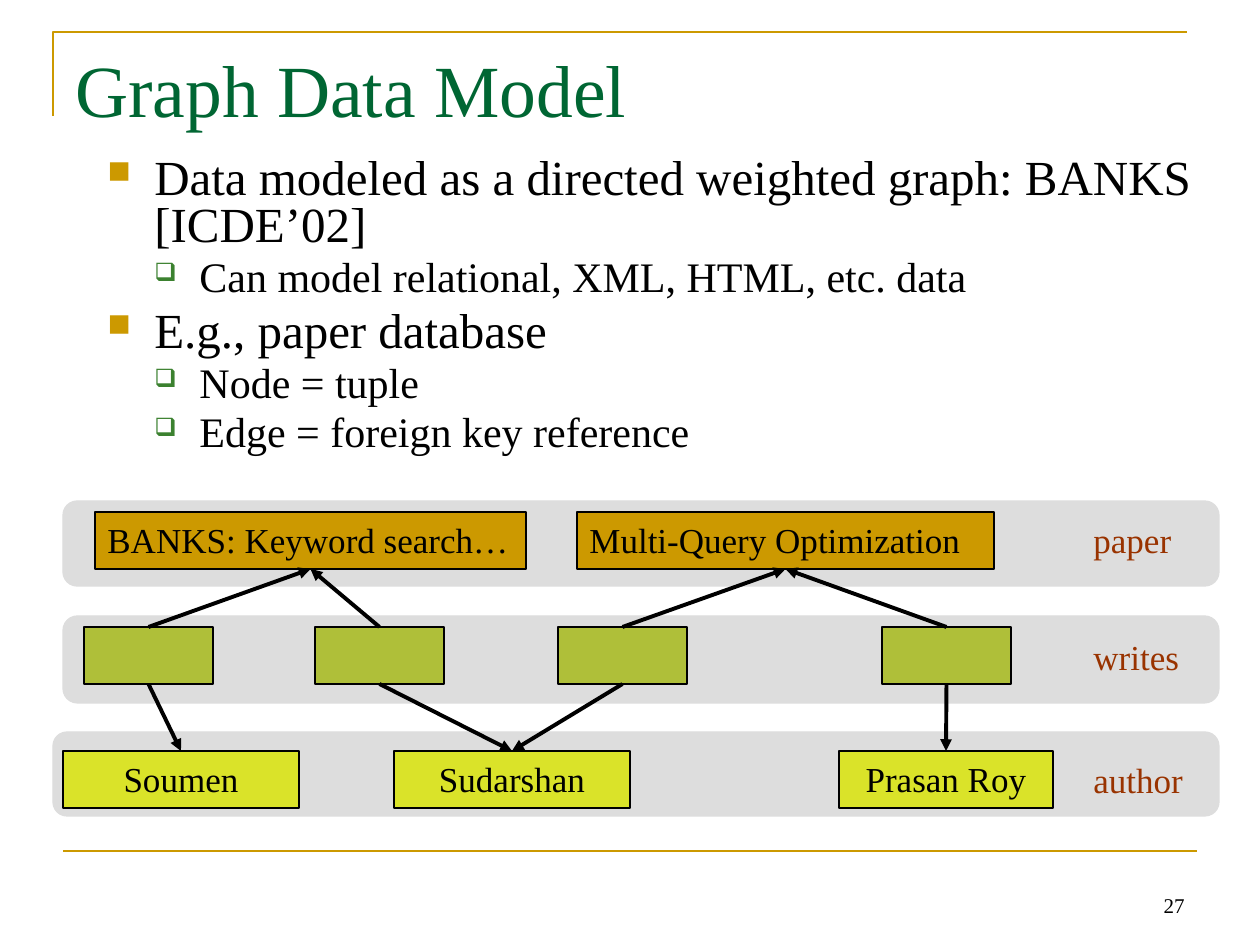
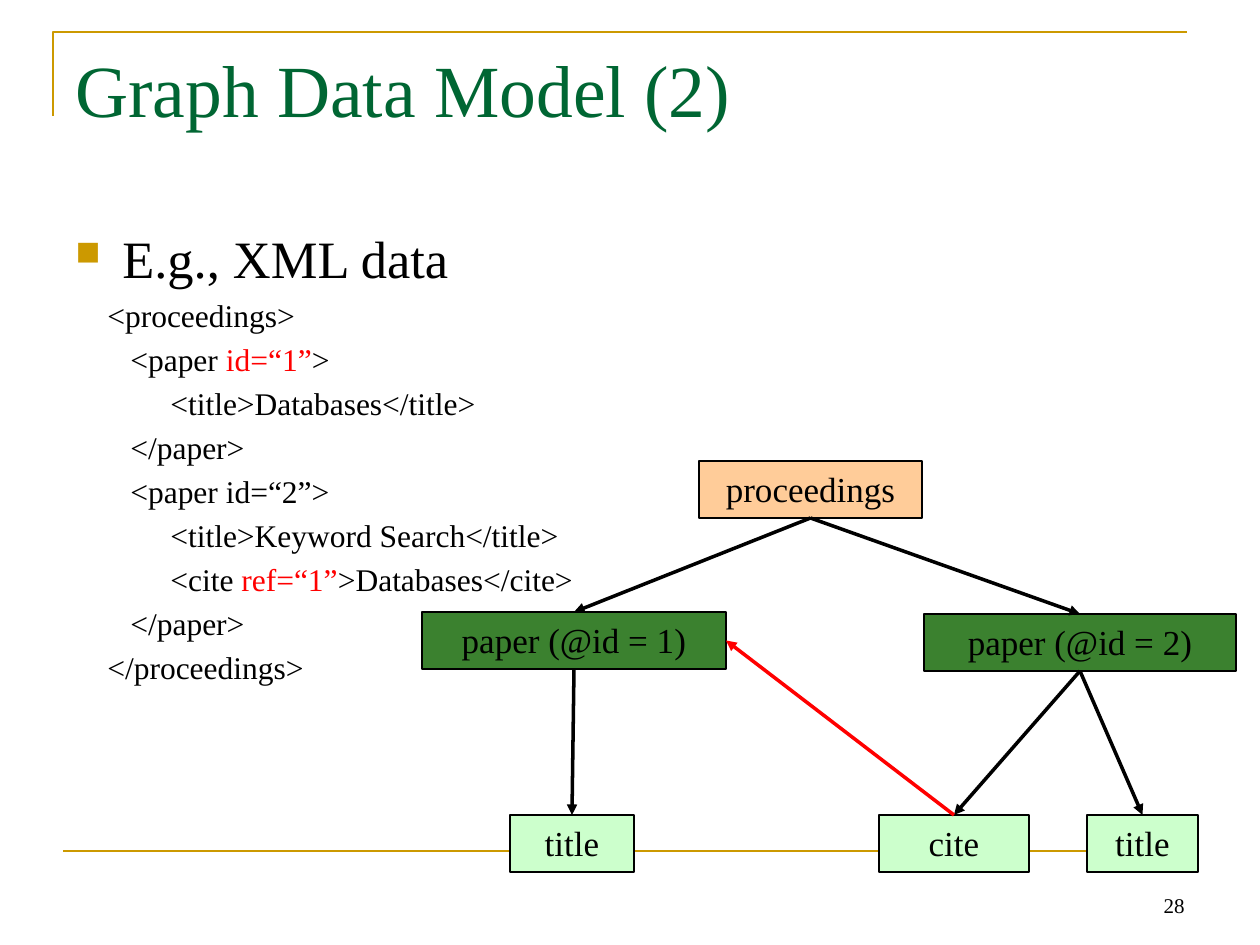
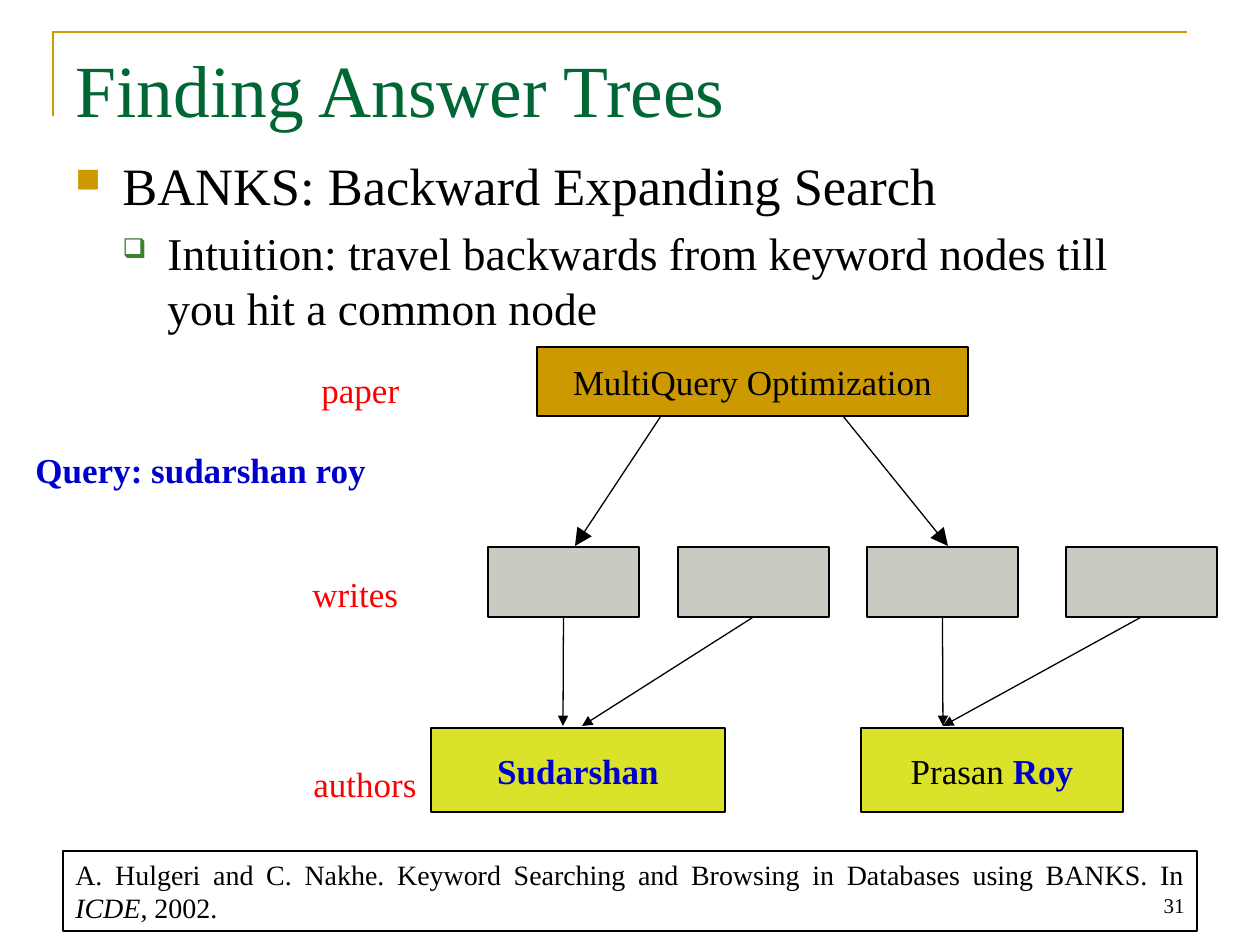
from lxml.etree import SubElement
from pptx import Presentation
from pptx.dml.color import RGBColor
from pptx.enum.shapes import MSO_CONNECTOR, MSO_SHAPE
from pptx.enum.text import MSO_ANCHOR, PP_ALIGN
from pptx.oxml.ns import qn
from pptx.util import Emu, Pt

FONT = "Times New Roman"
BLACK = RGBColor(0x00, 0x00, 0x00)
GOLD = RGBColor(0xCC, 0x99, 0x00)
TITLE_GREEN = RGBColor(0x00, 0x66, 0x33)
LEAF = RGBColor(0x3B, 0x81, 0x2F)
BAND_GREY = RGBColor(0xDD, 0xDD, 0xDD)
LIME = RGBColor(0xDA, 0xE3, 0x29)
OLIVE = RGBColor(0xAF, 0xBF, 0x39)
RUST = RGBColor(0x99, 0x33, 0x00)
PEACH = RGBColor(0xFF, 0xCC, 0x99)
MINT = RGBColor(0xCC, 0xFF, 0xCC)
STONE = RGBColor(0xC9, 0xCA, 0xC2)
RED = RGBColor(0xFF, 0x00, 0x00)
BLUE = RGBColor(0x00, 0x00, 0xCC)

TOP, LEFT, BOTTOM, RIGHT = range(4)
BULLETS = [("■", GOLD, 65, 47, 47), ("❑", LEAF, 60, 92, 45)]


def px(n):
    return Emu(round(n * 914400 / 126))


def write(p, text, size, color=BLACK, bold=False, align=PP_ALIGN.LEFT):
    pieces = [(text, {})] if isinstance(text, str) else text
    p.alignment = align
    for piece, style in pieces:
        r = p.add_run()
        r.text = piece
        r.font.name = FONT
        r.font.size = Pt(size)
        r.font.color.rgb = style.get("color", color)
        r.font.bold = style.get("bold", bold)
        r.font.italic = style.get("italic", False)


def text_frame(slide, x, y, w, h):
    tf = slide.shapes.add_textbox(px(x), px(y), px(w), px(h)).text_frame
    tf.word_wrap = True
    return tf


def label(slide, text, x, y, w, color, bold=False):
    write(text_frame(slide, x, y, w, 55).paragraphs[0], text, 20, color, bold)


def add_bullet(p, level):
    char, color, percent, margin, hang = BULLETS[level]
    pPr = p._p.get_or_add_pPr()
    pPr.set("marL", str(px(margin)))
    pPr.set("indent", str(-px(hang)))
    SubElement(SubElement(pPr, qn("a:buClr")), qn("a:srgbClr")).set("val", str(color))
    SubElement(pPr, qn("a:buSzPct")).set("val", str(percent * 1000))
    SubElement(pPr, qn("a:buChar")).set("char", char)


def next_paragraph(tf, size, line_spacing=None):
    first = tf.paragraphs[0]
    p = tf.add_paragraph() if first.runs else first
    p.space_before = Pt(round(size * 0.2, 1))
    if line_spacing:
        p.line_spacing = line_spacing
    return p


def bullet_list(tf, items, sizes, line_spacing=None):
    for level, text in items:
        p = next_paragraph(tf, sizes[level], line_spacing)
        write(p, text, sizes[level])
        add_bullet(p, level)


def code_lines(tf, lines):
    for depth, text in lines:
        p = next_paragraph(tf, 18)
        write(p, text, 18)
        p._p.get_or_add_pPr().set("marL", str(px((32, 55, 95)[depth])))


def box(slide, x, y, w, h, fill=None, text="", line=1.5, align=PP_ALIGN.CENTER,
        anchor=MSO_ANCHOR.TOP, size=20):
    sp = slide.shapes.add_shape(MSO_SHAPE.RECTANGLE, px(x), px(y), px(w), px(h))
    sp.shadow.inherit = False
    if fill is None:
        sp.fill.background()
    else:
        sp.fill.solid()
        sp.fill.fore_color.rgb = fill
    sp.line.color.rgb = BLACK
    sp.line.width = Pt(line)
    tf = sp.text_frame
    tf.word_wrap = True
    tf.vertical_anchor = anchor
    if text:
        write(tf.paragraphs[0], text, size, align=align)
    return sp


def band(slide, x, y, w, h):
    sp = slide.shapes.add_shape(MSO_SHAPE.ROUNDED_RECTANGLE, px(x), px(y), px(w), px(h))
    sp.shadow.inherit = False
    sp.fill.solid()
    sp.fill.fore_color.rgb = BAND_GREY
    sp.line.color.rgb = BAND_GREY
    sp.line.width = Pt(0.75)


def rule(slide, start, end, color, width):
    line = slide.shapes.add_connector(MSO_CONNECTOR.STRAIGHT, *map(px, start + end))
    line.line.color.rgb = color
    line.line.width = Pt(width)
    SubElement(line._element.spPr, qn("a:effectLst"))
    return line


def arrow(slide, start, end, width, color=BLACK, head="med"):
    start_joined, end_joined = (not isinstance(e[0], int) for e in (start, end))
    line = rule(slide, (0, 0) if start_joined else start,
                (0, 0) if end_joined else end, color, width)
    if start_joined:
        line.begin_connect(*start)
    if end_joined:
        line.end_connect(*end)
    tail = SubElement(line.line._get_or_add_ln(), qn("a:tailEnd"))
    for key, value in (("type", "triangle"), ("w", head), ("len", head)):
        tail.set(key, value)


def new_slide(prs, title):
    slide = prs.slides.add_slide(prs.slide_layouts[6])
    corner = slide.shapes.build_freeform(px(53), px(116), 1.0)
    corner.add_line_segments([(px(53), px(32)), (px(1187), px(32))], close=False)
    sp = corner.convert_to_shape()
    sp.shadow.inherit = False
    sp.fill.background()
    sp.line.color.rgb = GOLD
    sp.line.width = Pt(1.5)
    rule(slide, (63, 851), (1197, 851), GOLD, 1.5)
    write(text_frame(slide, 63, 38, 1134, 158).paragraphs[0], title, 42, TITLE_GREEN)
    return slide


def page_number(slide, number):
    tf = text_frame(slide, 903, 861, 294, 63)
    tf.vertical_anchor = MSO_ANCHOR.BOTTOM
    write(tf.paragraphs[0], number, 12, align=PP_ALIGN.RIGHT)


def graph_model_slide(prs):
    slide = new_slide(prs, "Graph Data Model")
    bullet_list(text_frame(slide, 95, 152, 1113, 341), [
        (0, "Data modeled as a directed weighted graph: BANKS [ICDE’02]"),
        (1, "Can model relational, XML, HTML, etc. data"),
        (0, "E.g., paper database"),
        (1, "Node = tuple"),
        (1, "Edge = foreign key reference"),
    ], (28, 24), 0.8)
    for x, y, w, h in ((53, 732, 1166, 84), (63, 616, 1156, 87), (63, 501, 1156, 85)):
        band(slide, x, y, w, h)
    for text, y in (("paper", 512), ("writes", 629), ("author", 752)):
        label(slide, text, 1081, y, 120, RUST)
    papers = [box(slide, x, 512, w, 57, GOLD, text, align=PP_ALIGN.LEFT) for x, w, text in (
        (95, 431, "BANKS: Keyword search…"), (577, 417, "Multi-Query Optimization"))]
    writes = [box(slide, x, 627, 129, 57, OLIVE) for x in (84, 315, 558, 882)]
    authors = [box(slide, x, 751, w, 57, LIME, text) for x, w, text in (
        (63, 236, "Soumen"), (394, 236, "Sudarshan"), (839, 214, "Prasan Roy"))]
    for node, paper, author in zip(writes, (0, 0, 1, 1), (0, 1, 1, 2)):
        arrow(slide, (node, TOP), (papers[paper], BOTTOM), 2.25)
        arrow(slide, (node, BOTTOM), (authors[author], TOP), 2.25)
    page_number(slide, "27")


def xml_model_slide(prs):
    slide = new_slide(prs, "Graph Data Model (2)")
    tf = text_frame(slide, 63, 220, 1134, 624)
    red = {"color": RED}
    bullet_list(tf, [(0, "E.g., XML data")], (30,))
    code_lines(tf, [
        (0, "<proceedings>"),
        (1, [("<paper ", {}), ("id=“1”", red), (">", {})]),
        (2, "<title>Databases</title>"),
        (1, "</paper>"),
        (1, "<paper id=“2”>"),
        (2, "<title>Keyword Search</title>"),
        (2, [("<cite ", {}), ("ref=“1”", red), (">Databases</cite>", {})]),
        (1, "</paper>"),
        (0, "</proceedings>"),
    ])
    root = box(slide, 699, 461, 223, 57, PEACH, "proceedings")
    paper1 = box(slide, 422, 612, 304, 57, LEAF, "paper (@id = 1)")
    paper2 = box(slide, 924, 614, 312, 57, LEAF, "paper (@id = 2)")
    title1, cite, title2 = [box(slide, x, 815, w, 57, MINT, text) for x, w, text in (
        (510, 124, "title"), (879, 150, "cite"), (1087, 111, "title"))]
    for parent, child in ((root, paper1), (root, paper2), (paper1, title1),
                          (paper2, title2), (paper2, cite)):
        arrow(slide, (parent, BOTTOM), (child, TOP), 2)
    arrow(slide, (cite, TOP), (paper1, RIGHT), 2, RED)
    page_number(slide, "28")


def answer_trees_slide(prs):
    slide = new_slide(prs, "Finding Answer Trees")
    bullet_list(text_frame(slide, 63, 147, 1134, 624), [
        (0, "BANKS: Backward Expanding Search"),
        (1, "Intuition: travel backwards from keyword nodes till you hit a common node"),
    ], (30, 26))
    for text, x, y in (("paper", 309, 362), ("writes", 300, 566), ("authors", 301, 756)):
        label(slide, text, x, y, 130, RED)
    label(slide, "Query: sudarshan roy", 23, 442, 360, BLUE, bold=True)
    keyword = {"color": BLUE, "bold": True}
    for x, y, w, h, fill, text in (
            (537, 347, 431, 69, GOLD, "MultiQuery Optimization"),
            (431, 728, 294, 84, LIME, [("Sudarshan", keyword)]),
            (861, 728, 262, 84, LIME, [("Prasan ", {}), ("Roy", keyword)])):
        box(slide, x, y, w, h, fill, text, 0.75, anchor=MSO_ANCHOR.MIDDLE)
    for start, end in (((661, 416), (575, 546)), ((843, 416), (948, 546))):
        arrow(slide, start, end, 0.75, head="lg")
    for x, author_x in ((488, 563), (678, 582), (867, 943), (1066, 943)):
        node = box(slide, x, 547, 151, 70, STONE, line=0.75)
        arrow(slide, (node, BOTTOM), (author_x, 726), 0.75)
    box(slide, 63, 851, 1134, 80, line=0.75, align=PP_ALIGN.JUSTIFY, size=16, text=[
        ("A. Hulgeri and C. Nakhe. Keyword Searching and Browsing in Databases "
         "using BANKS. In ", {}), ("ICDE", {"italic": True}), (", 2002.", {})])
    page_number(slide, "31")


def main():
    prs = Presentation()
    prs.slide_width, prs.slide_height = px(1260), px(945)
    graph_model_slide(prs)
    xml_model_slide(prs)
    answer_trees_slide(prs)
    prs.save("out.pptx")


if __name__ == "__main__":
    main()
